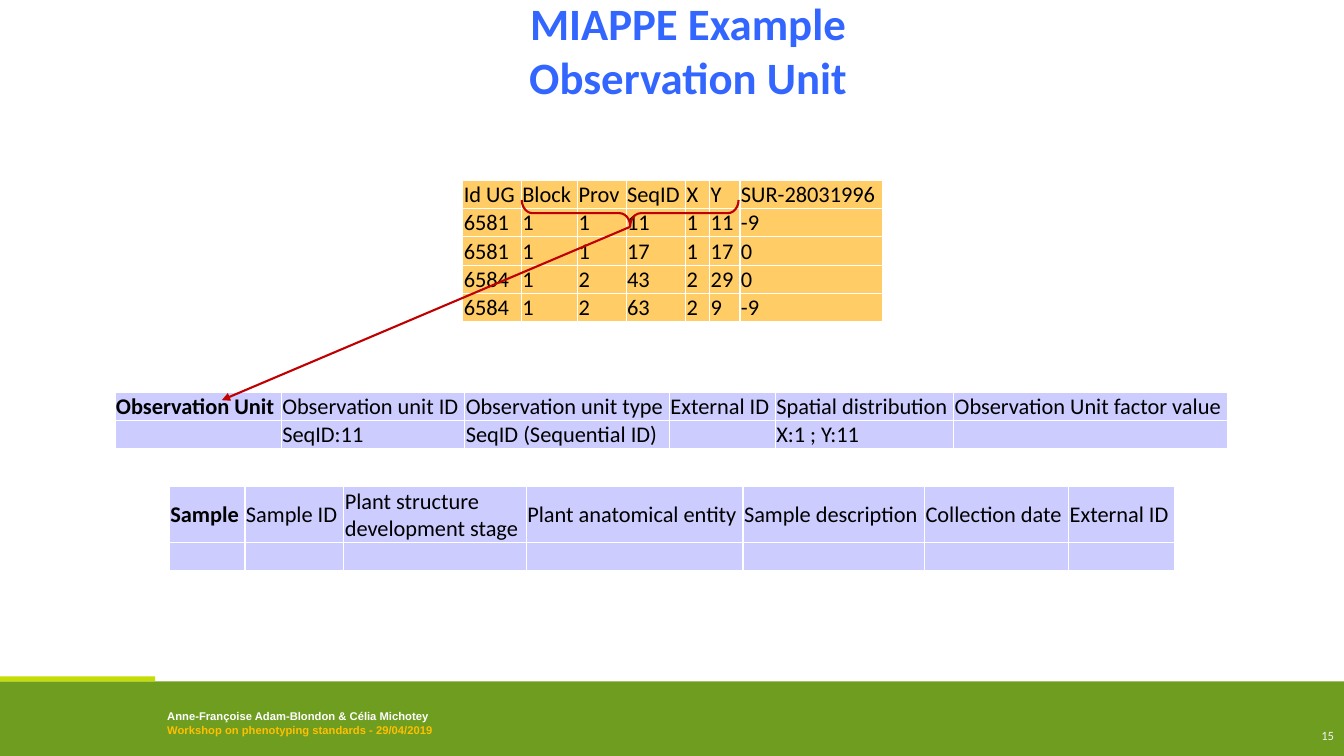
import pptx
import pptx.util
import pptx.dml.color
import pptx.enum.shapes
import pptx.enum.text
import pptx.oxml.ns
import lxml.etree

Pt = pptx.util.Pt
Shape = pptx.enum.shapes.MSO_SHAPE
Anchor = pptx.enum.text.MSO_ANCHOR
Align = pptx.enum.text.PP_ALIGN
qn = pptx.oxml.ns.qn

HUES = {
    "green": "6F9D20", "lime": "C5DD01", "white": "FFFFFF", "gold": "FFC000",
    "blue": "3366FF", "pale": "F2F2F2", "black": "000000", "red": "C00000",
    "lilac": "CCCCFF", "amber": "FFCC66",
}


def hue(name):
    return pptx.dml.color.RGBColor.from_string(HUES[name])


class Board:
    """Style and slide; lengths are grid cells, ten to the inch."""

    cell = pptx.util.Inches(0.1)
    cols, rows = 133.3, 75
    font = "Calibri"

    def __init__(self):
        self.deck = pptx.Presentation()
        self.deck.slide_width = self.size(self.cols)
        self.deck.slide_height = self.size(self.rows)
        self.slide = self.deck.slides.add_slide(self.deck.slide_layouts[6])
        self.shapes = self.slide.shapes

    def size(self, count):
        return pptx.util.Emu(round(count * self.cell))

    def place(self, *spots):
        return [self.size(spot) for spot in spots]

    def run(self, para, text, size, color, bold=False, font=None):
        run = para.add_run()
        run.text = text
        run.font.size = Pt(size)
        run.font.name = font or self.font
        run.font.bold = bold
        run.font.color.rgb = hue(color)

    def block(self, box, color):
        shape = self.shapes.add_shape(Shape.RECTANGLE, *self.place(*box))
        shape.shadow.inherit = False
        shape.fill.solid()
        shape.fill.fore_color.rgb = hue(color)
        shape.line.fill.background()

    def frame(self, box, anchor=Anchor.MIDDLE):
        frame = self.shapes.add_textbox(*self.place(*box)).text_frame
        frame.word_wrap = True
        frame.vertical_anchor = anchor
        return frame

    def edge(self, cell):
        props = cell._tc.get_or_add_tcPr()
        for side in ("lnL", "lnR", "lnT", "lnB"):
            line = lxml.etree.SubElement(props, qn("a:" + side), w=str(Pt(1)))
            fill = lxml.etree.SubElement(line, qn("a:solidFill"))
            lxml.etree.SubElement(fill, qn("a:srgbClr"), val=HUES["white"])

    def table(self, left, top, widths, highs, data, color, head, lead=False):
        box = self.place(left, top, sum(widths), sum(highs))
        grid = self.shapes.add_table(len(highs), len(widths), *box).table
        for col, wide in zip(grid.columns, widths):
            col.width = self.size(wide)
        for row, high in zip(grid.rows, highs):
            row.height = self.size(high)
        for r, texts in enumerate(data):
            for c, text in enumerate(texts):
                cell = grid.cell(r, c)
                cell.margin_left = cell.margin_right = self.size(0.1)
                cell.margin_top, cell.margin_bottom = self.size(0.1), 0
                cell.vertical_anchor = Anchor.BOTTOM if r else head
                self.edge(cell)
                cell.fill.solid()
                cell.fill.fore_color.rgb = hue(color)
                para = cell.text_frame.paragraphs[0]
                if text:
                    self.run(para, text, 16, "black", lead and r == c == 0)
                else:
                    # Keeps the empty row as low as a filled one
                    lxml.etree.SubElement(para._p, qn("a:endParaRPr"), sz="1600")

    def brace(self, box, curve, turn):
        shape = self.shapes.add_shape(Shape.RIGHT_BRACE, *self.place(*box))
        shape.shadow.inherit = False
        shape.adjustments[0] = curve
        shape.rotation = turn
        shape.fill.background()
        self.stroke(shape)

    def arrow(self, start, end):
        kind = pptx.enum.shapes.MSO_CONNECTOR.STRAIGHT
        link = self.shapes.add_connector(kind, *self.place(*start, *end))
        self.stroke(link)
        line = link.line._get_or_add_ln()
        lxml.etree.SubElement(line, qn("a:tailEnd"), type="triangle")
        lxml.etree.SubElement(link._element.spPr, qn("a:effectLst"))

    def stroke(self, shape):
        shape.line.color.rgb = hue("red")
        shape.line.width = Pt(1.5)


def main():
    board = Board()

    # Footer band
    board.block((0, 67.6, board.cols, 7.4), "green")
    foot = board.frame((15.6, 69.9, 45.2, 3.7), Anchor.TOP)
    board.run(foot.paragraphs[0], "Anne-Françoise Adam-Blondon & Célia Michotey",
              8, "white", True, "Arial")
    board.run(foot.add_paragraph(), "Workshop on phenotyping standards - 29/04/2019",
              8, "gold", True, "Arial")
    board.block((0, 67.1, 15.4, 0.5), "lime")

    # Title
    title = board.frame((24.7, 0, 87.1, 9.9)).paragraphs[0]
    title.alignment = Align.CENTER
    board.run(title, "MIAPPE Example", 32, "blue", True)
    title.add_line_break()
    board.run(title, "Observation Unit", 32, "blue", True)

    # Page number
    page = board.frame((102.2, 71, 31.1, 4)).paragraphs[0]
    page.alignment = Align.RIGHT
    board.run(page, "15", 9, "pale")

    # Observation unit and sample tables
    unit = [
        ["Observation Unit", "Observation unit ID", "Observation unit type",
         "External ID", "Spatial distribution", "Observation Unit factor value"],
        ["", "SeqID:11", "SeqID (Sequential ID)", "", "X:1 ; Y:11", ""],
    ]
    board.table(11.4, 38.9, [16.5, 18.2, 20.3, 10.5, 17.7, 27.2], [2.8, 2.8],
                unit, "lilac", Anchor.MIDDLE, True)
    sample = ["Sample", "Sample ID", "Plant structure development stage",
              "Plant anatomical entity", "Sample description",
              "Collection date", "External ID"]
    board.table(16.8, 48.3, [7.5, 9.8, 18.1, 21.5, 18, 14.3, 10.5], [5.5, 2.8],
                [sample, [""] * len(sample)], "lilac", Anchor.MIDDLE, True)

    # Field data table
    field = [
        ["Id UG", "Block", "Prov", "SeqID", "X", "Y", "SUR-28031996"],
        ["6581", "1", "1", "11", "1", "11", "-9"],
        ["6581", "1", "1", "17", "1", "17", "0"],
        ["6584", "1", "2", "43", "2", "29", "0"],
        ["6584", "1", "2", "63", "2", "9", "-9"],
    ]
    board.table(45.9, 17.9, [5.8, 5.6, 4.8, 5.9, 2.4, 3, 14.1],
                [2.8] * len(field), field, "amber", Anchor.BOTTOM)

    # Brace and arrow from the field columns to the unit
    board.brace((61.2, 10.4, 2.6, 21.5), 0.41, 90)
    board.arrow((62.5, 22.5), (22, 39.7))

    board.deck.save("out.pptx")


if __name__ == "__main__":
    main()
